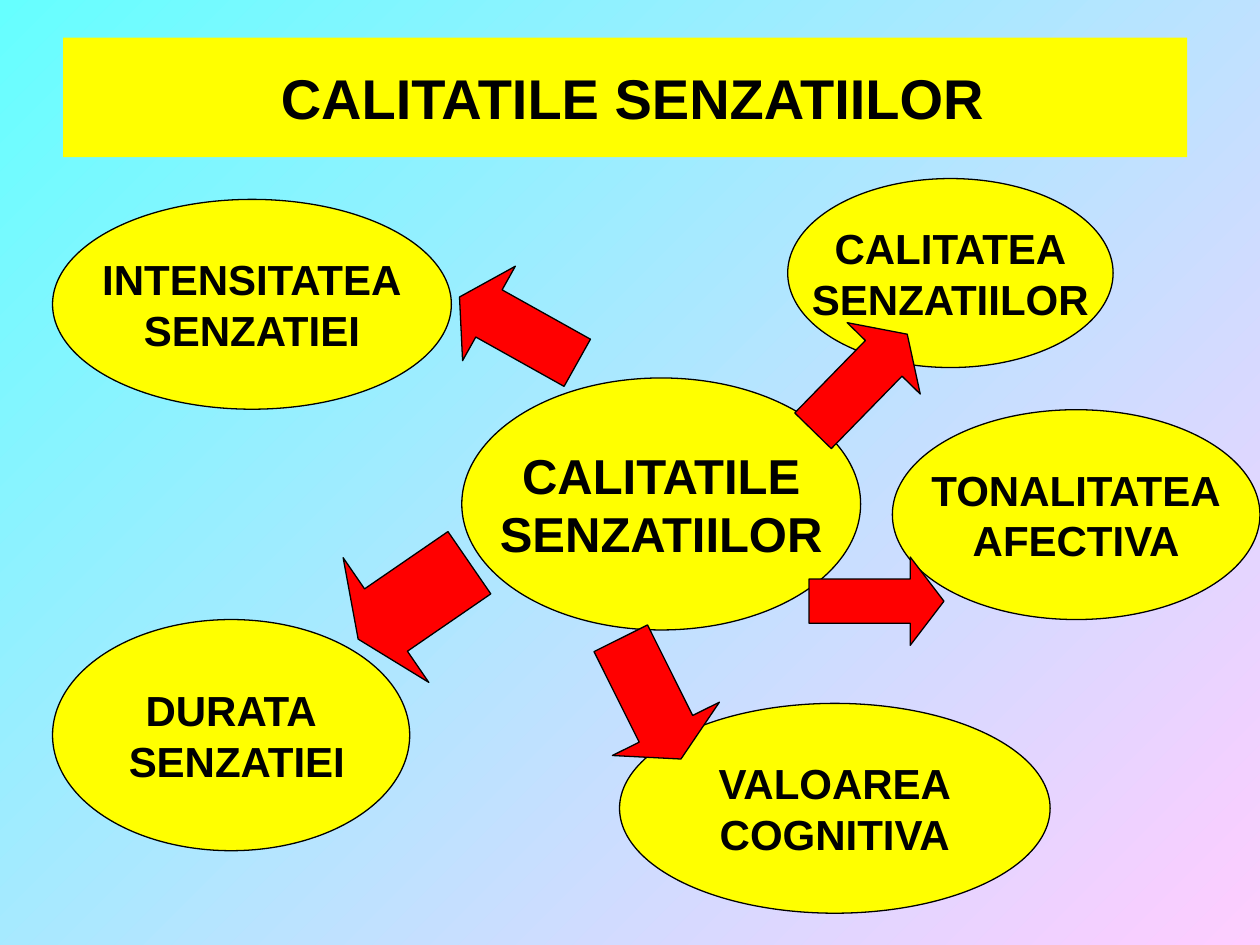
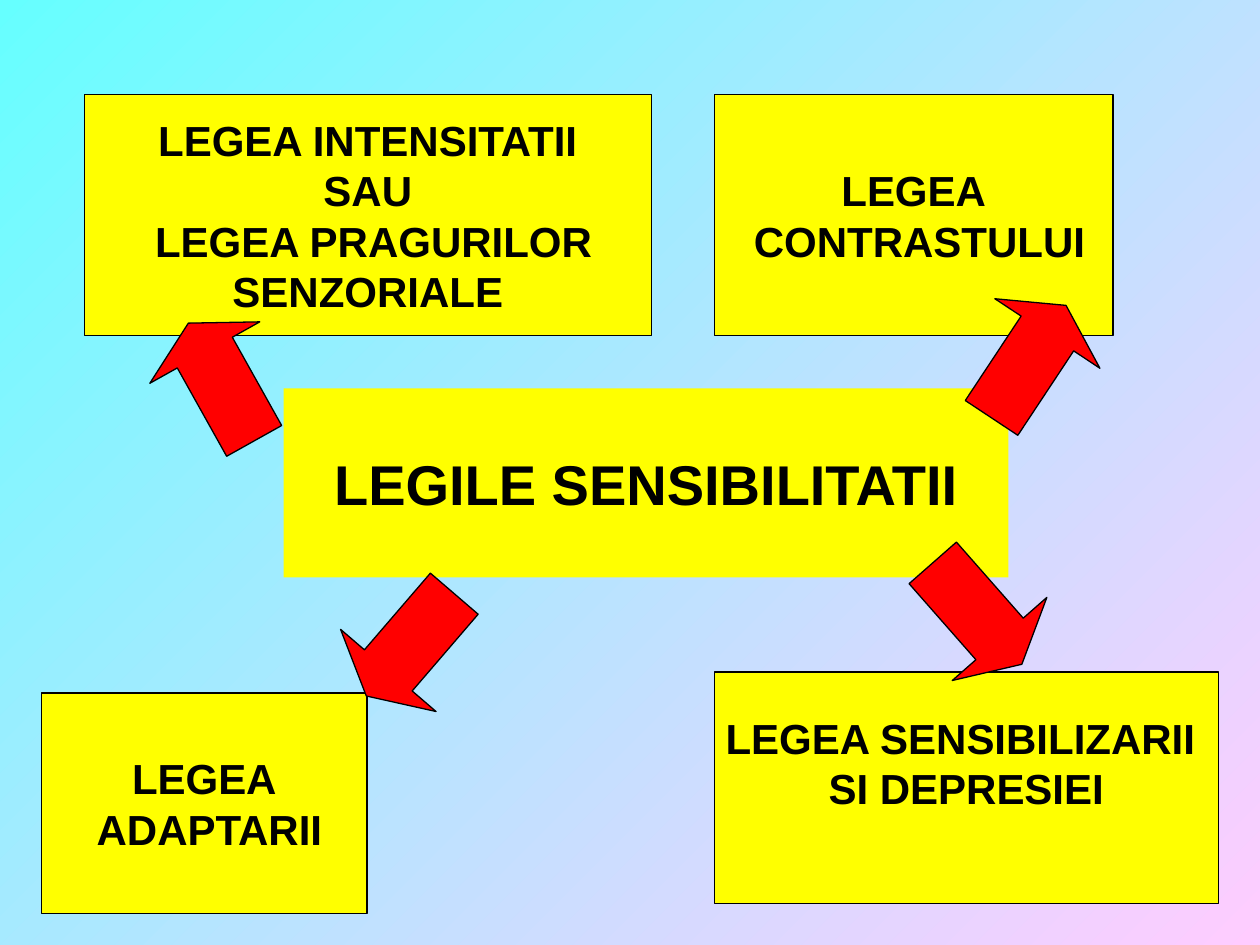
"""Build two concept-map slides on the qualities of sensations and the laws of sensitivity."""
import dataclasses

import pptx
import pptx.dml.color
import pptx.enum.shapes
import pptx.enum.text
import pptx.util

Cm = pptx.util.Cm
Pt = pptx.util.Pt
RGBColor = pptx.dml.color.RGBColor
Preset = pptx.enum.shapes.MSO_SHAPE


@dataclasses.dataclass(frozen=True)
class Theme:
    font: str = "Arial"
    panel: RGBColor = RGBColor(0xFF, 0xFF, 0x00)
    arrow: RGBColor = RGBColor(0xFF, 0x00, 0x00)
    ink: RGBColor = RGBColor(0x00, 0x00, 0x00)
    sky: tuple = (RGBColor(0x66, 0xFF, 0xFF), RGBColor(0xFF, 0xCC, 0xFF))
    title_size: int = 32
    hub_size: int = 28
    label_size: int = 24
    outline: float = 0.75


THEME = Theme()
ARROW_LENGTH = 2.72
ARROW_HEAD = ARROW_LENGTH / 4

SLIDES = [
    {
        "title": " CALITATILE SENZATIILOR",
        "title_box": (1.27, 0.76, 22.66, 2.41),
        "panel": Preset.OVAL,
        "labels": [
            ("CALITATILE\nSENZATIILOR", (9.31, 7.62, 8.04, 5.08), {"size": THEME.hub_size}),
            ("INTENSITATEA\nSENZATIEI", (1.06, 4.02, 8.04, 4.23), {}),
            ("DURATA\n SENZATIEI", (1.06, 12.49, 7.2, 4.66), {}),
            ("VALOAREA\nCOGNITIVA", (12.49, 14.18, 8.68, 4.23), {}),
            ("TONALITATEA\nAFECTIVA", (17.99, 8.26, 7.41, 4.23), {}),
            ("CALITATEA\nSENZATIILOR", (15.88, 3.6, 6.56, 3.81), {}),
        ],
        "arrows": [
            (9.09, 5.56, 2.18, 209.2),
            (16.31, 11.23, 1.78, 0),
            (11.76, 12.88, 2.41, 63.5),
            (15.98, 6.68, 2.06, 314.3),
            (6.98, 10.59, 3.05, 145.5),
        ],
    },
    {
        "title": "LEGILE SENSIBILITATII",
        "title_box": (5.72, 7.83, 14.61, 3.81),
        "panel": Preset.RECTANGLE,
        "labels": [
            ("LEGEA INTENSITATII\nSAU\n LEGEA PRAGURILOR\nSENZORIALE",
             (1.7, 1.9, 11.43, 4.87), {}),
            ("LEGEA\n CONTRASTULUI", (14.4, 1.9, 8.04, 4.87), {}),
            ("LEGEA\n ADAPTARII", (0.84, 13.97, 6.56, 4.45), {}),
            ("LEGEA SENSIBILIZARII \nSI DEPRESIEI",
             (14.4, 13.55, 10.16, 4.66), {"bottom": 1.15}),
        ],
        "arrows": [
            (6.91, 11.73, 2.54, 130.7),
            (3.1, 6.43, 2.54, 240.8),
            (19.38, 6.02, 2.54, 303.5),
            (18.34, 11.1, 2.54, 48.7),
        ],
    },
]


def write_text(shape, text, size=THEME.label_size, wrap=False, bottom=0.13):
    """Write centred bold lines into a shape."""
    frame = shape.text_frame
    frame.text = text
    frame.auto_size = pptx.enum.text.MSO_AUTO_SIZE.NONE
    frame.word_wrap = wrap
    frame.vertical_anchor = pptx.enum.text.MSO_ANCHOR.MIDDLE
    frame.margin_left = frame.margin_right = Cm(0.25)
    frame.margin_top, frame.margin_bottom = Cm(0.13), Cm(bottom)
    for paragraph in frame.paragraphs:
        paragraph.alignment = pptx.enum.text.PP_ALIGN.CENTER
        for run in paragraph.runs:
            run.font.name = THEME.font
            run.font.size = Pt(size)
            run.font.bold = True
            run.font.color.rgb = THEME.ink


def paint(shape, colour):
    """Fill a shape with one colour."""
    shape.fill.solid()
    shape.fill.fore_color.rgb = colour


def add_outlined(slide, preset, box, colour):
    """Add a flat filled shape with a thin outline."""
    shape = slide.shapes.add_shape(preset, *map(Cm, box))
    shape.shadow.inherit = False
    paint(shape, colour)
    shape.line.color.rgb = THEME.ink
    shape.line.width = Pt(THEME.outline)
    return shape


def add_arrow(slide, left, top, height, rotation):
    """Add a turned arrow whose head keeps the same length at any height."""
    box = (left, top, ARROW_LENGTH, height)
    arrow = add_outlined(slide, Preset.RIGHT_ARROW, box, THEME.arrow)
    arrow.adjustments[0] = 0.5
    arrow.adjustments[1] = ARROW_HEAD / min(ARROW_LENGTH, height)
    arrow.rotation = rotation


def place_title(title, text, box):
    """Move, fill and write the title placeholder."""
    title.left, title.top, title.width, title.height = map(Cm, box)
    paint(title, THEME.panel)
    write_text(title, text, size=THEME.title_size, wrap=True)


def paint_background(master):
    """Give every slide the diagonal gradient."""
    fill = master.background.fill
    fill.gradient()
    fill.gradient_angle = 315
    for stop, colour, position in zip(fill.gradient_stops, THEME.sky, (0, 1)):
        stop.color.rgb = colour
        stop.position = position


def main():
    """Build and save the presentation."""
    presentation = pptx.Presentation()
    presentation.slide_width, presentation.slide_height = Cm(25.4), Cm(19.05)
    paint_background(presentation.slide_master)
    title_only = presentation.slide_layouts.get_by_name("Title Only")
    for content in SLIDES:
        slide = presentation.slides.add_slide(title_only)
        place_title(slide.shapes.title, content["title"], content["title_box"])
        for text, box, text_format in content["labels"]:
            panel = add_outlined(slide, content["panel"], box, THEME.panel)
            write_text(panel, text, **text_format)
        for arrow in content["arrows"]:
            add_arrow(slide, *arrow)
    presentation.save("out.pptx")


if __name__ == "__main__":
    main()
